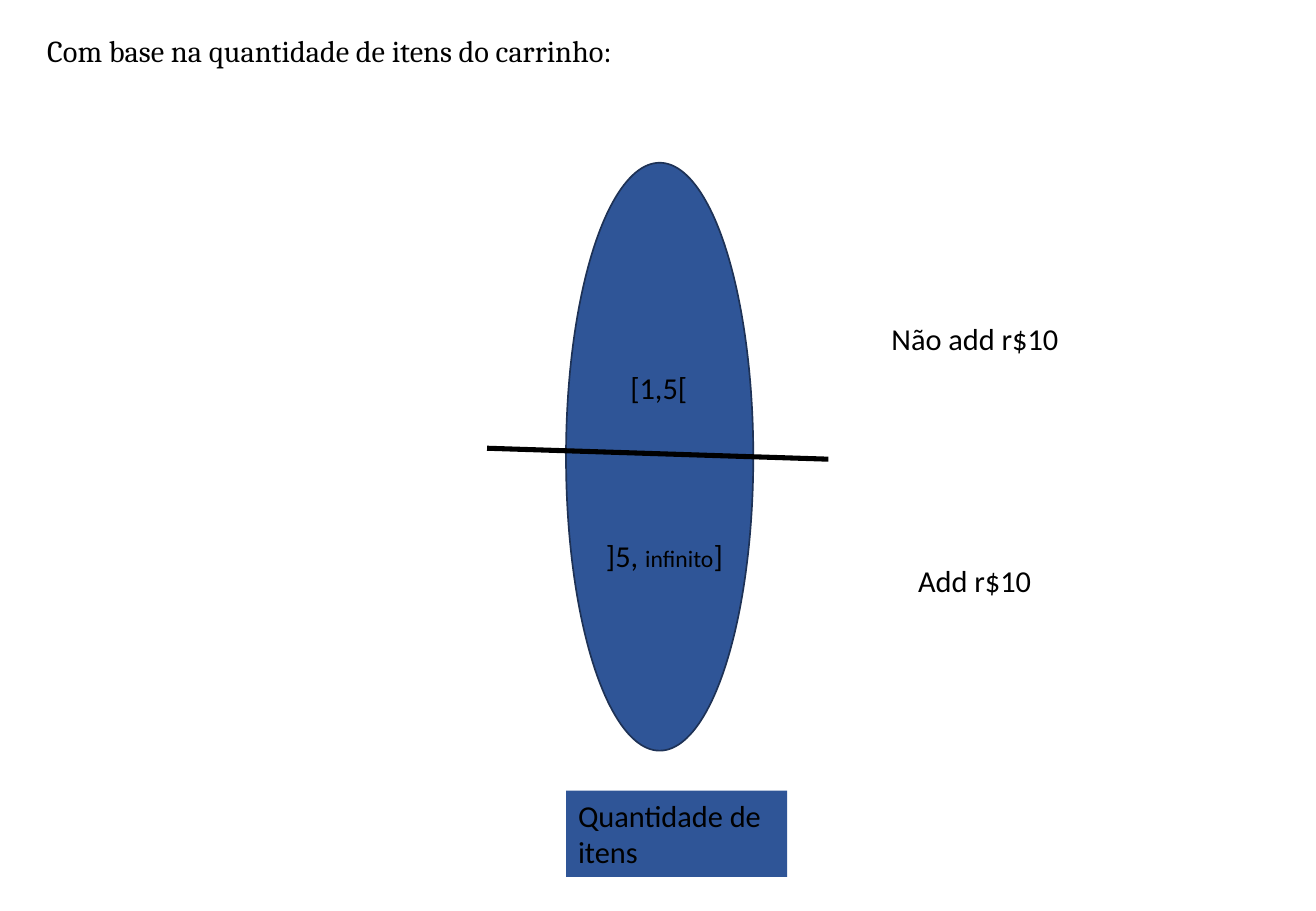
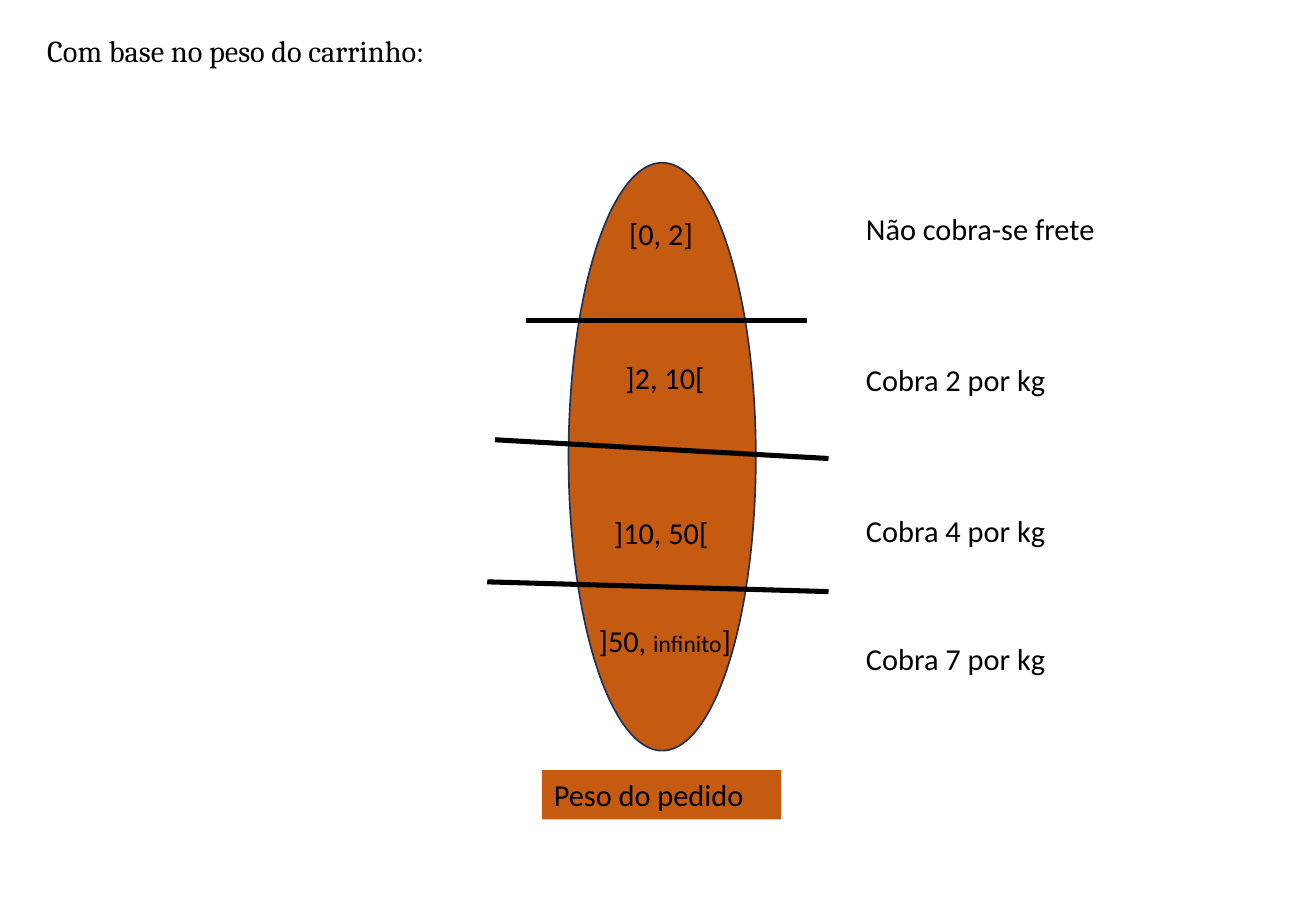
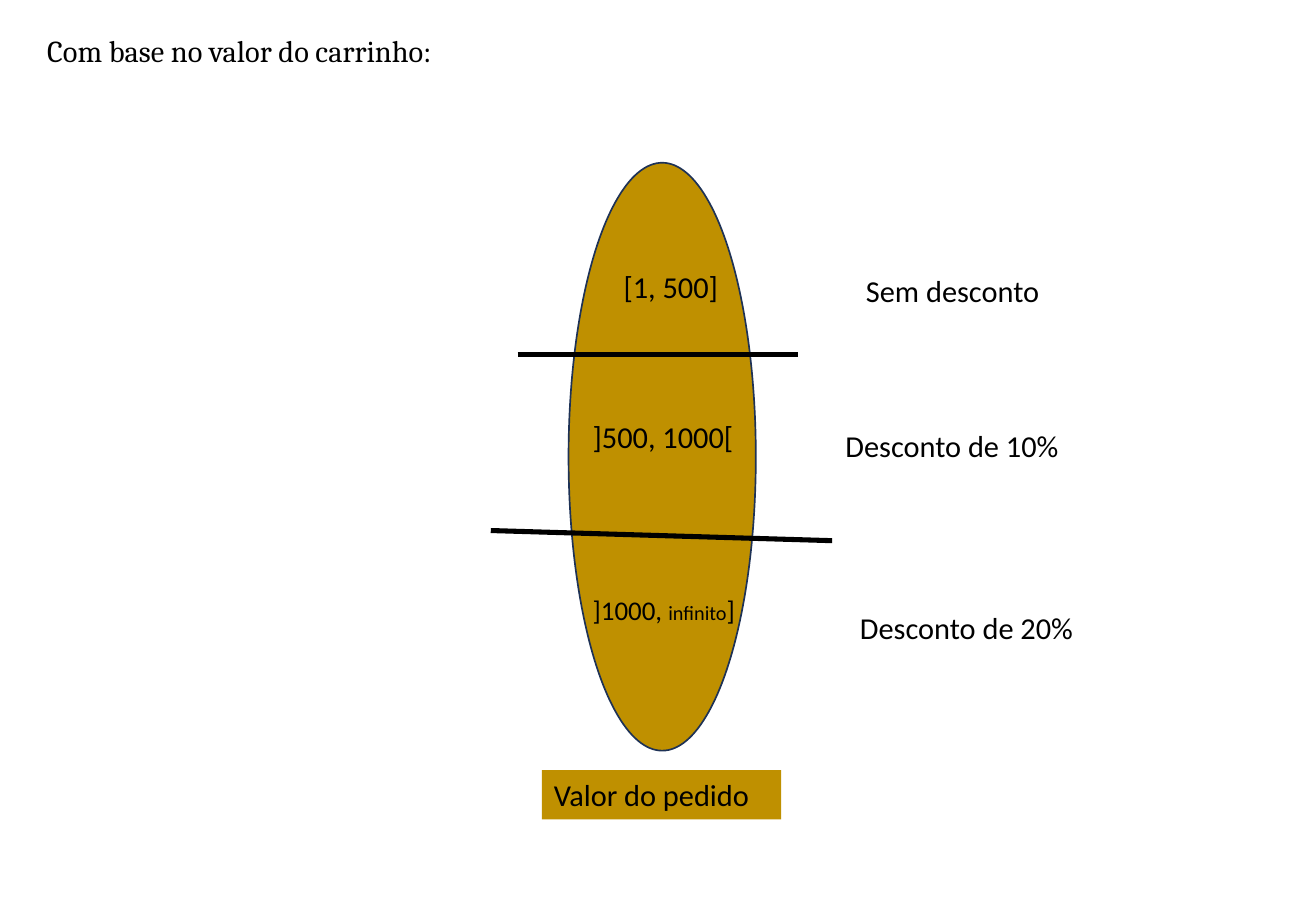
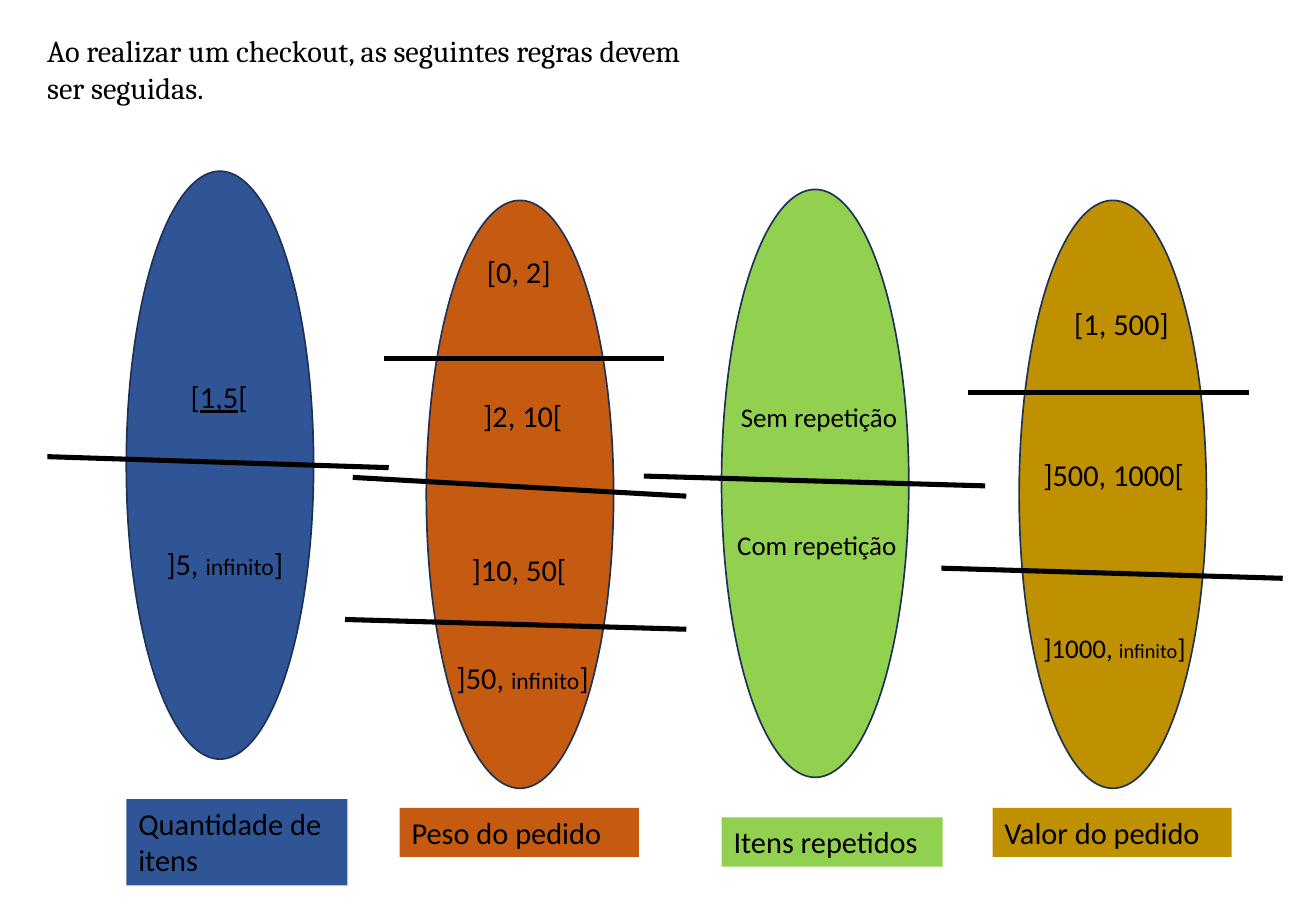
"""Builds four slides on checkout rules, each dividing ovals into value ranges."""
import pptx
import pptx.dml.color
import pptx.enum.shapes
import pptx.enum.text
import pptx.oxml
import pptx.util

Pt = pptx.util.Pt
RGBColor = pptx.dml.color.RGBColor

BLACK = RGBColor(0x00, 0x00, 0x00)
OUTLINE = RGBColor(0x1E, 0x32, 0x56)
BLUE = RGBColor(0x2F, 0x55, 0x97)
ORANGE = RGBColor(0xC5, 0x5A, 0x11)
GREEN = RGBColor(0x92, 0xD0, 0x50)
GOLD = RGBColor(0xBF, 0x90, 0x00)

TITLE_FONT, BODY_FONT = "Cambria", "Calibri"
SIZE = 18
SLIDE_WIDTH, SLIDE_HEIGHT = 780, 540
OVAL_WIDTH, OVAL_HEIGHT = 111, 348.5
TITLE_BOX = (20.9, 15.8, 390.2)

# Positions inside a partition are measured from the top left of its oval.
PARTITIONS = {
    "quantity": {
        "color": BLUE,
        "tag": ("Quantidade de itens", 0, 372.2, 131, 2),
        "dividers": [(-46.8, 169.2, 155.5, 175.7)],
        "ranges": [
            ([("[", 18), ("1,5", 18), ("[", 18)], 31, 118.8, 49),
            ([("]5, ", 18), ("infinito", 14), ("]", 18)], 16.6, 218.2, 85),
        ],
        "wrap": False,
    },
    "weight": {
        "color": ORANGE,
        "tag": ("Peso do pedido", -15.8, 360, 141.8, 1),
        "dividers": [
            (-25.2, 93.6, 141.1, 93.6),
            (-43.6, 164.2, 154.1, 175.3),
            (-48.2, 248.4, 154.1, 254.2),
        ],
        "ranges": [
            ([("[0, 2]", 18)], 28.8, 27.4, 52.6),
            ([("]2, 10[", 18)], 26.6, 113, 62),
            ([("]10, 50[", 18)], 19.8, 204.5, 71.3),
            ([("]50, ", 18), ("infinito", 14), ("]", 18)], 10.8, 268.6, 93.6),
        ],
        "wrap": False,
    },
    "repetition": {
        "color": GREEN,
        "tag": ("Itens repetidos", 0, 372.2, 131, 1),
        "dividers": [(-46.1, 169.9, 156.2, 175.7)],
        "ranges": [
            ([("Sem repetição", 16)], 4.3, 121.7, 111),
            ([("Com repetição", 16)], 2.2, 197.3, 111),
        ],
        "wrap": True,
    },
    "value": {
        "color": GOLD,
        "tag": ("Valor do pedido", -15.8, 360, 141.8, 1),
        "dividers": [(-30.2, 113.8, 136.1, 113.8), (-46.1, 218, 156.2, 224)],
        "ranges": [
            ([("[1, 500]", 18)], 25.5, 58.7, 71.3),
            ([("]500, 1000[", 18)], 7.2, 148, 98.6),
            ([("]1000, ", 16), ("infinito", 12), ("]", 16)], 7.2, 252, 100),
        ],
        "wrap": False,
    },
}

SLIDES = [
    {
        "title": ("Com base na quantidade de itens do carrinho:", 1),
        "partitions": [("quantity", 335.5, 96.5)],
        "outcomes": [("Não add r$10", 521.3, 186.5, 114.5), ("Add r$10", 537.1, 329.8, 82)],
    },
    {
        "title": ("Com base no peso do carrinho:", 1),
        "partitions": [("weight", 337, 96.5)],
        "outcomes": [
            ("Não cobra-se frete", 506.2, 121, 152),
            ("Cobra 2 por kg", 506.2, 210.5, 122.4),
            ("Cobra 4 por kg", 506.2, 300.2, 122.4),
            ("Cobra 7 por kg", 506.2, 375.8, 122.4),
        ],
    },
    {
        "title": ("Com base no valor do carrinho:", 1),
        "partitions": [("value", 337, 96.5)],
        "outcomes": [
            ("Sem desconto", 506.2, 157.7, 118.1),
            ("Desconto de 10%", 494, 249.8, 142.6),
            ("Desconto de 20%", 502.6, 357.8, 142.6),
        ],
    },
    {
        "title": ("Ao realizar um checkout, as seguintes regras devem ser seguidas.", 2),
        "partitions": [
            ("quantity", 74.9, 101.5),
            ("weight", 252.7, 118.8),
            ("repetition", 427.7, 112.3),
            ("value", 604.1, 118.8),
        ],
        "outcomes": [],
        "underlined": "1,5",
    },
]


def text_height(size, lines=1):
    return 7.2 + lines * size * 1.22


def add_text(shapes, runs, left, top, width, lines=1, wrap=False, font=BODY_FONT, underlined=None):
    height = text_height(runs[0][1], lines)
    box = shapes.add_textbox(Pt(left), Pt(top), Pt(width), Pt(height))
    frame = box.text_frame
    frame.word_wrap = wrap
    frame.auto_size = pptx.enum.text.MSO_AUTO_SIZE.SHAPE_TO_FIT_TEXT
    for text, size in runs:
        run = frame.paragraphs[0].add_run()
        run.text = text
        run.font.name = font
        run.font.size = Pt(size)
        run.font.color.rgb = BLACK
        if text == underlined:
            run.font.underline = True
    return box


def add_divider(shapes, start_x, start_y, end_x, end_y):
    divider = shapes.add_connector(
        pptx.enum.shapes.MSO_CONNECTOR.STRAIGHT, Pt(start_x), Pt(start_y), Pt(end_x), Pt(end_y)
    )
    divider.line.color.rgb = BLACK
    divider.line.width = Pt(3)
    properties = divider._element.spPr
    properties.append(properties.makeelement(pptx.oxml.ns.qn("a:effectLst"), {}))


def add_partition(slide, partition, left, top, underlined):
    shapes = slide.shapes.add_group_shape().shapes
    oval = shapes.add_shape(
        pptx.enum.shapes.MSO_SHAPE.OVAL, Pt(left), Pt(top), Pt(OVAL_WIDTH), Pt(OVAL_HEIGHT)
    )
    oval.shadow.inherit = False
    oval.fill.solid()
    oval.fill.fore_color.rgb = partition["color"]
    oval.line.color.rgb = OUTLINE
    oval.line.width = Pt(1)

    label, x, y, width, lines = partition["tag"]
    tag = add_text(shapes, [(label, SIZE)], left + x, top + y, width, lines, wrap=True)
    tag.fill.solid()
    tag.fill.fore_color.rgb = partition["color"]

    for start_x, start_y, end_x, end_y in partition["dividers"]:
        add_divider(shapes, left + start_x, top + start_y, left + end_x, top + end_y)
    for runs, x, y, width in partition["ranges"]:
        add_text(
            shapes, runs, left + x, top + y, width, wrap=partition["wrap"], underlined=underlined
        )


def add_slide(presentation, content):
    slide = presentation.slides.add_slide(presentation.slide_layouts[6])
    title, lines = content["title"]
    add_text(slide.shapes, [(title, SIZE)], *TITLE_BOX, lines=lines, wrap=True, font=TITLE_FONT)
    for name, left, top in content["partitions"]:
        add_partition(slide, PARTITIONS[name], left, top, content.get("underlined"))
    for text, left, top, width in content["outcomes"]:
        add_text(slide.shapes, [(text, SIZE)], left, top, width)


presentation = pptx.Presentation()
presentation.slide_width = Pt(SLIDE_WIDTH)
presentation.slide_height = Pt(SLIDE_HEIGHT)
for content in SLIDES:
    add_slide(presentation, content)
presentation.save("out.pptx")
